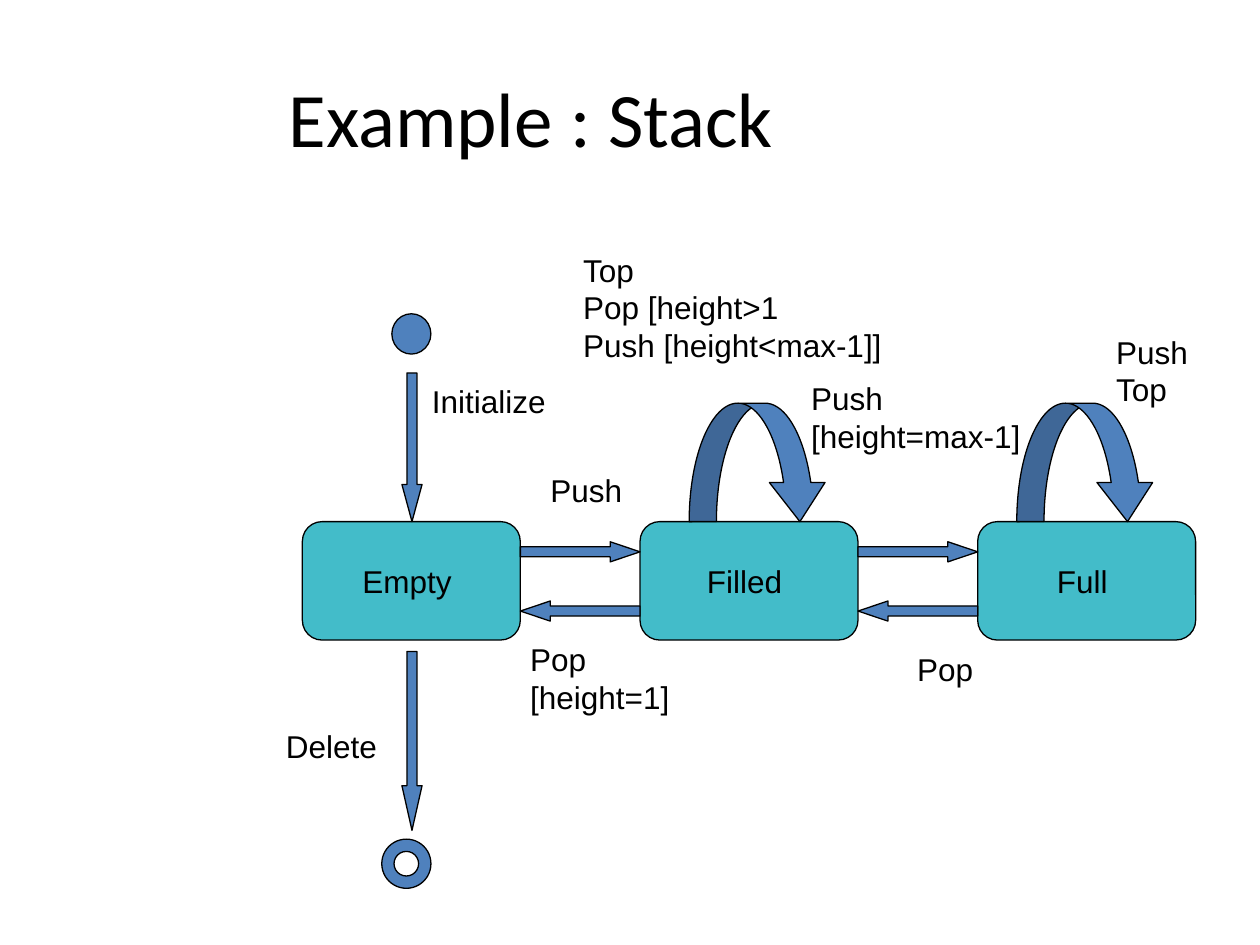
from dataclasses import dataclass

import pptx
import pptx.dml.color
import pptx.enum.shapes
import pptx.enum.text
import pptx.util

Inches = pptx.util.Inches
SHAPE = pptx.enum.shapes.MSO_SHAPE
ALIGN = pptx.enum.text.PP_ALIGN
ANCHOR = pptx.enum.text.MSO_ANCHOR

COLORS = {"state": "43BCC9", "arrow": "4F81BD", "ink": "000000"}
LABEL_FONT = {"name": "Arial", "size": pptx.util.Pt(18)}
TITLE_FONT = {"name": "Calibri", "size": pptx.util.Pt(44)}
STATE_TOP, STATE_WIDTH, STATE_HEIGHT = 4.14, 1.73, 0.94
STATE_LEFT, STATE_PITCH = 2.4, 2.68
ARROW_THICKNESS = 0.16


@dataclass
class Label:
    left: float
    top: float
    width: float
    height: float
    lines: tuple[str, ...]


@dataclass
class Figure:
    kind: int
    left: float
    top: float
    width: float
    height: float
    color: str = "arrow"
    adjustments: tuple[float, ...] = ()


def color(name: str) -> pptx.dml.color.RGBColor:
    return pptx.dml.color.RGBColor.from_string(COLORS[name])


def set_values(target, values: dict) -> None:
    for name, value in values.items():
        setattr(target, name, value)


def write_lines(frame, lines: tuple[str, ...], font: dict, alignment) -> None:
    for index, line in enumerate(lines):
        para = frame.paragraphs[0] if index == 0 else frame.add_paragraph()
        para.alignment = alignment
        span = para.add_run()
        span.text = line
        set_values(span.font, font)
        span.font.color.rgb = color("ink")


def draw_figure(page, figure: Figure):
    shape = page.shapes.add_shape(
        figure.kind,
        *map(Inches, (figure.left, figure.top, figure.width, figure.height)),
    )
    shape.shadow.inherit = False
    shape.fill.solid()
    shape.fill.fore_color.rgb = color(figure.color)
    shape.line.color.rgb = color("ink")
    shape.line.width = pptx.util.Pt(0.75)
    for index, value in enumerate(figure.adjustments):
        shape.adjustments[index] = value
    return shape


def draw_arrow(page, kind: int, left: float, top: float, length: float) -> None:
    size = (ARROW_THICKNESS, length) if kind == SHAPE.DOWN_ARROW else (length, ARROW_THICKNESS)
    head = length / 4 / ARROW_THICKNESS
    draw_figure(page, Figure(kind, left, top, *size, adjustments=(0.5, head)))


def draw_state(page, index: int, name: str) -> None:
    left = STATE_LEFT + index * STATE_PITCH
    box = draw_figure(page, Figure(
        SHAPE.ROUNDED_RECTANGLE, left, STATE_TOP, STATE_WIDTH, STATE_HEIGHT, "state"))
    set_values(box.text_frame, {"word_wrap": False, "vertical_anchor": ANCHOR.MIDDLE})
    write_lines(box.text_frame, (name + " ",), LABEL_FONT, ALIGN.CENTER)


def draw_label(page, label: Label) -> None:
    box = page.shapes.add_textbox(
        *map(Inches, (label.left, label.top, label.width, label.height)))
    set_values(box.text_frame, {
        "word_wrap": False,
        "auto_size": pptx.enum.text.MSO_AUTO_SIZE.SHAPE_TO_FIT_TEXT,
    })
    write_lines(box.text_frame, label.lines, LABEL_FONT, ALIGN.LEFT)


def draw_title(page, text: str) -> None:
    title = page.shapes.title
    set_values(title, {
        "left": Inches(2.19), "top": Inches(0.3),
        "width": Inches(7.31), "height": Inches(1.25),
    })
    title.text_frame.vertical_anchor = ANCHOR.MIDDLE
    write_lines(title.text_frame, (text,), TITLE_FONT, ALIGN.LEFT)


LABELS = (
    Label(3.33, 2.98, 1.17, 0.4, ("Initialize",)),
    Label(4.27, 3.69, 0.84, 0.4, ("Push",)),
    Label(4.11, 5.03, 1.34, 0.7, ("Pop", "[height=1]")),
    Label(6.34, 2.96, 1.86, 0.7, ("Push", "[height=max-1]")),
    Label(7.18, 5.11, 0.71, 0.4, ("Pop",)),
    Label(2.17, 5.72, 0.99, 0.4, ("Delete",)),
    Label(4.53, 1.94, 2.57, 1, ("Top", "Pop [height>1", "Push [height<max-1]]")),
    Label(8.76, 2.59, 0.77, 0.7, ("Push", "Top")),
)


def main() -> None:
    deck = pptx.Presentation()
    set_values(deck, {"slide_width": Inches(10), "slide_height": Inches(7.5)})
    page = deck.slides.add_slide(deck.slide_layouts[5])
    draw_title(page, "Example : Stack")

    for index, name in enumerate(("Empty", "Filled", "Full")):
        draw_state(page, index, name)

    draw_figure(page, Figure(SHAPE.OVAL, 3.11, 2.49, 0.31, 0.32))
    draw_figure(page, Figure(SHAPE.DONUT, 3.03, 6.66, 0.39, 0.39, adjustments=(0.25,)))

    for top, length in ((2.96, 1.18), (5.17, 1.42)):
        draw_arrow(page, SHAPE.DOWN_ARROW, 3.19, top, length)
    for kind, top in ((SHAPE.RIGHT_ARROW, 4.3), (SHAPE.LEFT_ARROW, 4.77)):
        for index in range(2):
            left = STATE_LEFT + STATE_WIDTH + index * STATE_PITCH
            draw_arrow(page, kind, left, top, STATE_PITCH - STATE_WIDTH)

    for left in (5.47, 8.07):
        draw_figure(page, Figure(
            SHAPE.CURVED_DOWN_ARROW, left, 3.2, 1.1, 0.94, adjustments=(0.23, 0.47, 0.33)))

    for label in LABELS:
        draw_label(page, label)

    deck.save("out.pptx")


if __name__ == "__main__":
    main()
